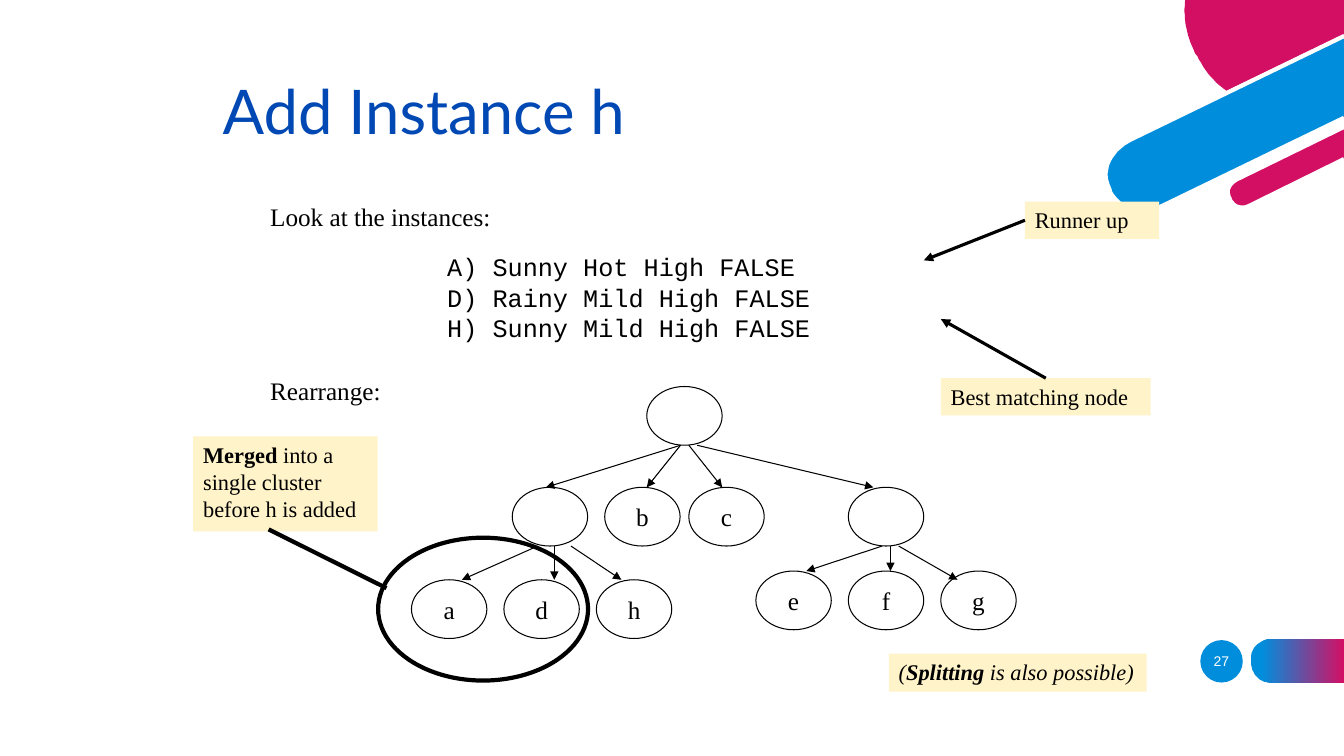
from lxml.etree import SubElement
from pptx import Presentation
from pptx.dml.color import RGBColor
from pptx.enum.shapes import MSO_CONNECTOR, MSO_SHAPE
from pptx.enum.text import MSO_ANCHOR, PP_ALIGN
from pptx.oxml.ns import qn
from pptx.util import Cm, Pt

BLACK = RGBColor(0x00, 0x00, 0x00)
WHITE = RGBColor(0xFF, 0xFF, 0xFF)
BLUE = RGBColor(0x00, 0x8E, 0xDC)
PINK = RGBColor(0xD3, 0x0F, 0x64)
TITLE_BLUE = RGBColor(0x00, 0x48, 0xB3)
CREAM = RGBColor(0xFF, 0xF3, 0xC9)
SERIF = "Times New Roman"

NODE_WIDTH, NODE_HEIGHT, LEAF_STEP = 1.9, 1.48, 2.33
ROOT_TOP, BRANCH_TOP, LEFT_LEAF_TOP, RIGHT_LEAF_TOP = 9.74, 12.28, 14.61, 14.39
ROOT_BOTTOM, BRANCH_BOTTOM = 11.22, 13.76

DISC = [(33.87, 0), (33.87, 0.86), (30.91, 2.29),
        (30.4, 1.93, 30.18, 1.42, 30.18, 1.42), (30.12, 1.35),
        (29.87, 0.84, 29.82, 0.38, 29.87, 0)]
WIDE_BAND = [(33.87, 0.91), (28.47, 3.53),
             (28.47, 3.53, 27.56, 3.99, 27.97, 4.8), (27.97, 4.83),
             (27.97, 4.83, 28.37, 5.64, 29.31, 5.18), (33.87, 2.97)]
NARROW_BAND = [(33.87, 3.2), (31.17, 4.52),
               (31.17, 4.52, 30.81, 4.7, 30.99, 5), (30.99, 5.03),
               (30.99, 5.03, 31.14, 5.36, 31.5, 5.18), (33.87, 4.01)]
NUMBER_TAB = [(33.87, 17.2), (33.87, 16.1), (32.05, 16.1),
              (32.05, 16.1, 31.52, 16.1, 31.52, 16.64), (31.52, 16.66),
              (31.52, 16.66, 31.52, 17.2, 32.05, 17.2)]


def flatten(outline, steps=16):
    """Turn lines and cubic curves into points in hundredths of a centimetre."""
    points = [outline[0]]
    for segment in outline[1:]:
        if len(segment) == 2:
            points.append(segment)
            continue
        knots = [points[-1], segment[:2], segment[2:4], segment[4:]]
        for step in range(1, steps + 1):
            t = step / steps
            weights = ((1 - t) ** 3, 3 * t * (1 - t) ** 2, 3 * t * t * (1 - t), t ** 3)
            points.append(tuple(sum(weight * knot[axis] for weight, knot in zip(weights, knots))
                                for axis in (0, 1)))
    return [(round(x * 100), round(y * 100)) for x, y in points]


def add_outline(page, outline, color, edge=0):
    """Draw a curved decoration, with a white edge if wanted."""
    points = flatten(outline)
    builder = page.shapes.build_freeform(*points[0], scale=Cm(0.01))
    builder.add_line_segments(points[1:], close=False)
    shape = builder.convert_to_shape()
    shape.shadow.inherit = False
    shape.fill.solid()
    shape.fill.fore_color.rgb = color
    if edge:
        shape.line.color.rgb = WHITE
        shape.line.width = Pt(edge)
    else:
        shape.line.fill.background()
    return shape


def style_text(box, size, font=SERIF, color=BLACK, align=PP_ALIGN.LEFT):
    """Format all the text of a box."""
    for para in box.text_frame.paragraphs:
        para.alignment = align
        for span in para.runs:
            span.font.size = Pt(size)
            span.font.name = font
            span.font.color.rgb = color


def add_text(page, text, left, top, width, height, size=18, font=SERIF, color=BLACK,
             align=PP_ALIGN.LEFT, anchor=MSO_ANCHOR.TOP):
    """Add a plain text box."""
    box = page.shapes.add_textbox(Cm(left), Cm(top), Cm(width), Cm(height))
    box.text_frame.word_wrap = True
    box.text_frame.vertical_anchor = anchor
    box.text_frame.text = text
    style_text(box, size, font, color, align)


def add_oval(page, left, top, width, height, weight=0.75, fill=None):
    """Add an outlined oval, or a filled one without outline."""
    oval = page.shapes.add_shape(MSO_SHAPE.OVAL, Cm(left), Cm(top), Cm(width), Cm(height))
    oval.shadow.inherit = False
    if fill is None:
        oval.fill.background()
        oval.line.color.rgb = BLACK
        oval.line.width = Pt(weight)
    else:
        oval.fill.solid()
        oval.fill.fore_color.rgb = fill
        oval.line.fill.background()
    return oval


def add_node(page, left, top, name=""):
    """Add a tree node with its instance letter."""
    node = add_oval(page, left, top, NODE_WIDTH, NODE_HEIGHT)
    if name:
        node.text_frame.text = name
        node.text_frame.word_wrap = False
        node.text_frame.vertical_anchor = MSO_ANCHOR.MIDDLE
        style_text(node, 18, align=PP_ALIGN.CENTER)


def add_note(page, spans, left, top, width, height, italic=False):
    """Add a cream note made of (text, bold) spans."""
    note = page.shapes.add_shape(MSO_SHAPE.RECTANGLE, Cm(left), Cm(top), Cm(width), Cm(height))
    note.shadow.inherit = False
    note.fill.solid()
    note.fill.fore_color.rgb = CREAM
    note.line.fill.background()
    note.text_frame.word_wrap = True
    note.text_frame.vertical_anchor = MSO_ANCHOR.TOP
    for text, bold in spans:
        span = note.text_frame.paragraphs[0].add_run()
        span.text = text
        span.font.bold = bold
        span.font.italic = italic
    style_text(note, 16)
    return note


def add_line(page, start, end, weight=0.75, arrow=True):
    """Add a black straight line, normally with an arrowhead."""
    line = page.shapes.add_connector(MSO_CONNECTOR.STRAIGHT, *map(Cm, start + end))
    line.line.color.rgb = BLACK
    line.line.width = Pt(weight)
    if arrow:
        SubElement(line.line._get_or_add_ln(), qn("a:tailEnd"), type="triangle")
    SubElement(line._element.spPr, qn("a:effectLst"))
    return line


def add_decorations(page):
    """Draw the corner bands and the page number."""
    add_outline(page, DISC, PINK)
    add_outline(page, WIDE_BAND, BLUE, 3)
    add_outline(page, NARROW_BAND, PINK, 3)
    tab = add_outline(page, NUMBER_TAB, BLUE)
    tab.fill.gradient()
    tab.fill.gradient_angle = 0
    for stop, color, position in zip(tab.fill.gradient_stops, (BLUE, PINK), (0.12, 1)):
        stop.color.rgb = color
        stop.position = position
    add_oval(page, 30.25, 16.13, 1.07, 1.07, fill=BLUE)
    add_text(page, "27", 30.02, 16.15, 1.52, 1.02, 10, "Arial", WHITE,
             PP_ALIGN.CENTER, MSO_ANCHOR.MIDDLE)


def add_tree(page):
    """Draw the cluster tree with its arrows."""
    add_node(page, 16.3, ROOT_TOP)
    for left, name in ((12.91, ""), (15.24, "b"), (17.36, "c"), (21.38, "")):
        add_node(page, left, BRANCH_TOP, name)
    for first, top, names in ((10.37, LEFT_LEAF_TOP, "adh"), (19.05, RIGHT_LEAF_TOP, "efg")):
        for index, name in enumerate(names):
            add_node(page, first + index * LEAF_STEP, top, name)
    for start, end in ((17.15, 13.76), (17.15, 16.3), (17.36, 18.2), (17.57, 22.01)):
        add_line(page, (start, ROOT_BOTTOM), (end, BRANCH_TOP))
    for start, end, top in ((13.55, 11.64, LEFT_LEAF_TOP), (13.97, 13.97, LEFT_LEAF_TOP),
                            (14.39, 15.66, LEFT_LEAF_TOP), (22.23, 20.32, RIGHT_LEAF_TOP),
                            (22.44, 22.44, RIGHT_LEAF_TOP), (22.65, 24.13, LEFT_LEAF_TOP)):
        add_line(page, (start, BRANCH_BOTTOM), (end, top))
    add_oval(page, 9.53, 13.55, 5.29, 3.6, weight=3)


def add_notes(page):
    """Add the cream notes and their pointers."""
    add_note(page, [("Merged", True), (" into a single cluster before h is added", False)],
             4.87, 11, 4.65, 2.39)
    add_line(page, (6.77, 13.34), (9.74, 14.82), 3, arrow=False)
    best = add_note(page, [("Best matching node", False)], 23.71, 9.53, 5.29, 0.94)
    add_line(page, (26.46, 9.53), (23.71, 8.04), 2.25).begin_connect(best, 0)
    runner_up = add_note(page, [("Runner up", False)], 25.83, 5.08, 3.38, 0.94)
    add_line(page, (25.83, 5.5), (23.28, 6.56), 2.25).begin_connect(runner_up, 1)
    add_note(page, [("(", False), ("Splitting", True), (" is also possible)", False)],
             22.4, 16.47, 6.5, 0.96, italic=True)


def main():
    """Build and save the slide."""
    deck = Presentation()
    deck.slide_width, deck.slide_height = Cm(33.87), Cm(19.05)
    page = deck.slides.add_slide(deck.slide_layouts[6])
    add_decorations(page)
    add_text(page, "Add Instance h", 5.36, 0.64, 21.59, 3.18, 44, "Lato", TITLE_BLUE,
             anchor=MSO_ANCHOR.BOTTOM)
    add_text(page, "Look at the instances:", 6.56, 4.95, 6.4, 1.02)
    add_text(page, "A) Sunny Hot High FALSE\nD) Rainy Mild High FALSE\nH) Sunny Mild High FALSE",
             11.02, 6.22, 10.2, 2.57, font="Courier New")
    add_text(page, "Rearrange:", 6.56, 9.33, 3.6, 1.02)
    add_tree(page)
    add_notes(page)
    deck.save("out.pptx")


if __name__ == "__main__":
    main()
